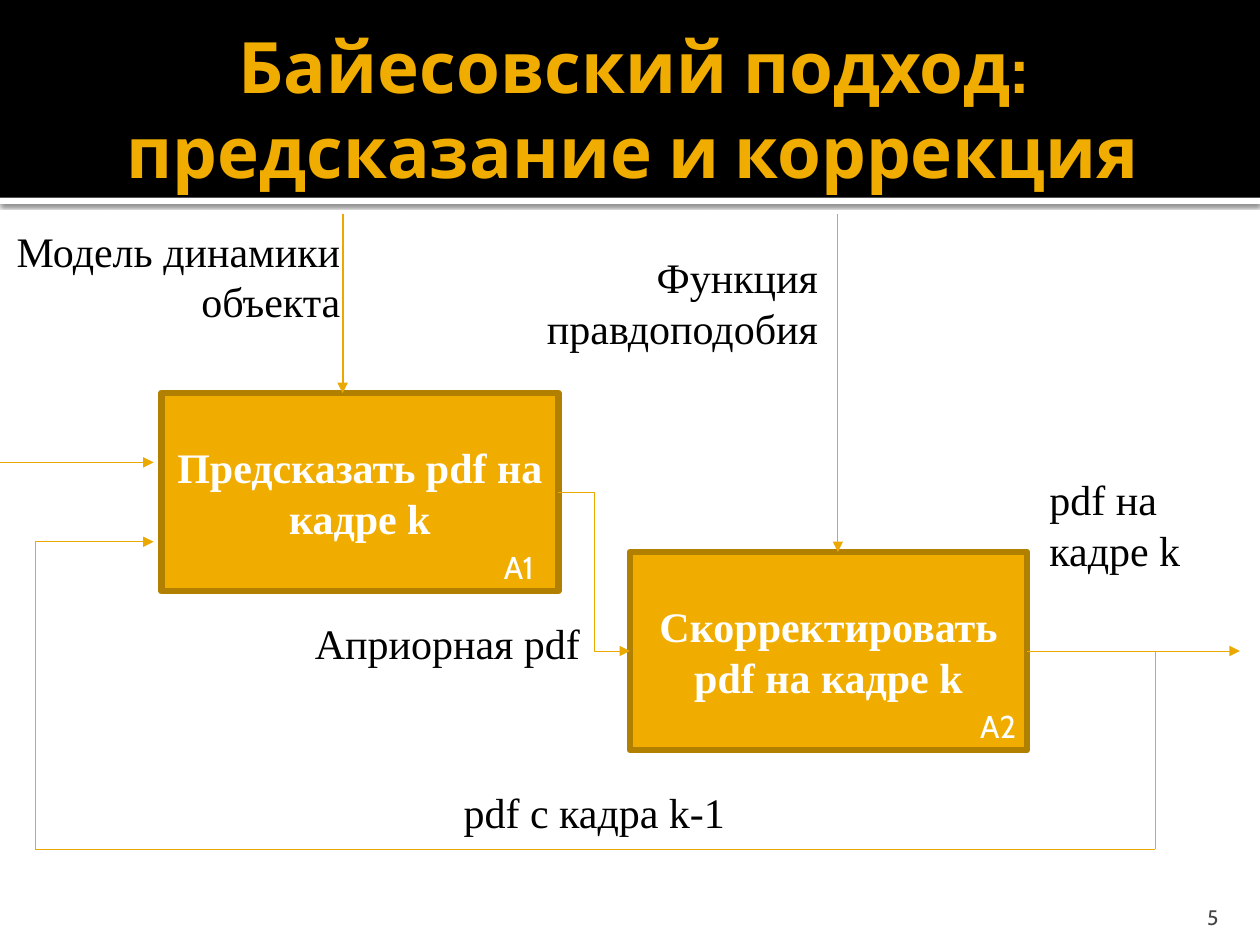
"""Build a slide on the Bayesian approach: prediction and correction."""
from dataclasses import dataclass

from lxml.etree import SubElement
from pptx import Presentation
from pptx.dml.color import RGBColor
from pptx.enum.shapes import MSO_CONNECTOR, MSO_SHAPE
from pptx.enum.text import MSO_ANCHOR, MSO_AUTO_SIZE, PP_ALIGN
from pptx.oxml.ns import qn
from pptx.util import Pt

SERIF, SANS = "Times New Roman", "Cabin"
AMBER, AMBER_DARK, AMBER_LINE = "F0AD00", "B28000", "EBA900"
WHITE, BLACK, GREY = "FFFFFF", "000000", "454545"
BOX_WIDTH, BOX_HEIGHT = 226.8, 113.2
STRAIGHT, ELBOW = MSO_CONNECTOR.STRAIGHT, MSO_CONNECTOR.ELBOW


@dataclass
class Step:
    text: str
    left: float
    top: float

    @property
    def right(self) -> float:
        return self.left + BOX_WIDTH

    @property
    def middle(self) -> float:
        return self.top + BOX_HEIGHT / 2


@dataclass
class Label:
    text: str
    left: float
    top: float
    width: float
    height: float
    font: str = SERIF
    size: float = 24
    color: str = BLACK
    align: PP_ALIGN = PP_ALIGN.LEFT
    wrap: bool = True


@dataclass
class Flow:
    start: tuple[float, float]
    end: tuple[float, float]
    arrow: bool = False
    width: float = 0.5
    route: MSO_CONNECTOR = STRAIGHT


def rgb(value: str) -> RGBColor:
    return RGBColor.from_string(value)


def write(frame, text: str, align: PP_ALIGN, color: str, **font_format) -> None:
    frame.text = text
    for paragraph in frame.paragraphs:
        paragraph.alignment = align
        for run in paragraph.runs:
            run.font.color.rgb = rgb(color)
            for name, value in font_format.items():
                setattr(run.font, name, value)


def draw_rectangle(slide, left: float, top: float, width: float, height: float, fill: str):
    rectangle = slide.shapes.add_shape(
        MSO_SHAPE.RECTANGLE, Pt(left), Pt(top), Pt(width), Pt(height))
    rectangle.shadow.inherit = False
    rectangle.fill.solid()
    rectangle.fill.fore_color.rgb = rgb(fill)
    rectangle.line.fill.background()
    return rectangle


def draw_header(slide) -> None:
    stripe = draw_rectangle(slide, 0, 113, 720, 3.6, WHITE)
    effects = stripe._element.spPr.find(qn("a:effectLst"))
    shadow = SubElement(effects, qn("a:outerShdw"), blurRad=str(Pt(2.5)),
                        dist=str(Pt(0.8)), dir="5400000", rotWithShape="0")
    shade = SubElement(shadow, qn("a:srgbClr"), val=BLACK)
    SubElement(shade, qn("a:alpha"), val="60000")
    draw_rectangle(slide, 0, 0, 720, 113, BLACK)

    title = slide.shapes.title
    slide.shapes._spTree.append(title._element)
    place = {"left": 36, "top": 12.2, "width": 648, "height": 98.6}
    for name, value in place.items():
        setattr(title, name, Pt(value))
    frame = title.text_frame
    write(frame, "Байесовский подход: предсказание и коррекция", PP_ALIGN.CENTER,
          AMBER, name=SANS, size=Pt(40.5), bold=True)
    layout = {"vertical_anchor": MSO_ANCHOR.MIDDLE, "word_wrap": True,
              "auto_size": MSO_AUTO_SIZE.NONE, "margin_left": Pt(7.2),
              "margin_right": Pt(3.6), "margin_top": Pt(3.6), "margin_bottom": Pt(3.6)}
    for name, value in layout.items():
        setattr(frame, name, value)


def draw_step(slide, step: Step) -> None:
    box = draw_rectangle(slide, step.left, step.top, BOX_WIDTH, BOX_HEIGHT, AMBER)
    box.line.color.rgb = rgb(AMBER_DARK)
    box.line.width = Pt(3.78)
    box.text_frame.vertical_anchor = MSO_ANCHOR.MIDDLE
    write(box.text_frame, step.text, PP_ALIGN.CENTER, WHITE,
          name=SERIF, size=Pt(24), bold=True)


def draw_flow(slide, flow: Flow) -> None:
    connector = slide.shapes.add_connector(
        flow.route, *(Pt(value) for value in flow.start + flow.end))
    connector.line.color.rgb = rgb(AMBER_LINE)
    connector.line.width = Pt(flow.width)
    if flow.arrow:
        SubElement(connector.line._get_or_add_ln(), qn("a:tailEnd"), type="triangle")
    SubElement(connector._element.spPr, qn("a:effectLst"))


def draw_label(slide, label: Label):
    box = slide.shapes.add_textbox(
        Pt(label.left), Pt(label.top), Pt(label.width), Pt(label.height))
    write(box.text_frame, label.text, label.align, label.color,
          name=label.font, size=Pt(label.size))
    box.text_frame.word_wrap = label.wrap
    box.text_frame.auto_size = MSO_AUTO_SIZE.SHAPE_TO_FIT_TEXT
    return box


def main() -> None:
    deck = Presentation()
    deck.slide_width, deck.slide_height = Pt(720), Pt(540)
    slide = deck.slides.add_slide(deck.slide_layouts[5])
    draw_header(slide)

    predict = Step("Предсказать pdf на кадре k", 92.2, 224.6)
    correct = Step("Скорректировать pdf на кадре k", 360, 315.4)
    for step in (predict, correct):
        draw_step(slide, step)

    inlet, inflow_top = 87.8, 122.4
    model_x, likelihood_x = 195.8, 478.8
    loop_left, loop_right, loop_top, loop_bottom = 20.2, 660.2, 309.6, 485.3
    output = (correct.right, correct.middle)
    flows = [
        Flow((0, 264.2), (inlet, 264.2), arrow=True),
        Flow((model_x, inflow_top), (model_x, predict.top), arrow=True, width=1.25),
        Flow((likelihood_x, inflow_top), (likelihood_x, correct.top), arrow=True),
        Flow((predict.right, predict.middle), (correct.left, correct.middle),
             arrow=True, route=ELBOW),
        Flow(output, (626.4, correct.middle)),
        Flow((loop_right, correct.middle), (loop_right, loop_bottom)),
        Flow((loop_right, loop_bottom), (loop_left, loop_bottom)),
        Flow((loop_left, loop_top), (inlet, loop_top), arrow=True),
        Flow(output, (708.5, correct.middle), arrow=True),
        Flow((loop_left, loop_top), (loop_left, loop_bottom)),
    ]
    for flow in flows:
        draw_flow(slide, flow)

    inflow = {"align": PP_ALIGN.RIGHT, "wrap": False}
    tag = {"font": SANS, "size": 18, "color": WHITE, "wrap": False}
    labels = [
        Label("Модель динамики\nобъекта", 0, 125.3, 201.6, 65.5, **inflow),
        Label("Функция\nправдоподобия", 303.1, 140.4, 171.4, 65.5, **inflow),
        Label("pdf на кадре k", 592.6, 267.1, 96.5, 65.5),
        Label("pdf c кадра k-1", 257.8, 445.7, 198.7, 36),
        Label("Априорная pdf", 172.8, 349.2, 198.7, 36),
        Label("A1", 280.8, 309.6, 34.6, 28.8, **tag),
        Label("A2", 553, 400.3, 35.3, 28.8, **tag),
    ]
    for label in labels:
        draw_label(slide, label)

    page_number = draw_label(slide, Label(
        "5", 645.8, 509.8, 57.6, 21.6, SANS, 12, GREY, PP_ALIGN.RIGHT)).text_frame
    layout = {"auto_size": MSO_AUTO_SIZE.NONE, "margin_bottom": 0,
              "vertical_anchor": MSO_ANCHOR.BOTTOM}
    for name, value in layout.items():
        setattr(page_number, name, value)
    deck.save("out.pptx")


if __name__ == "__main__":
    main()
